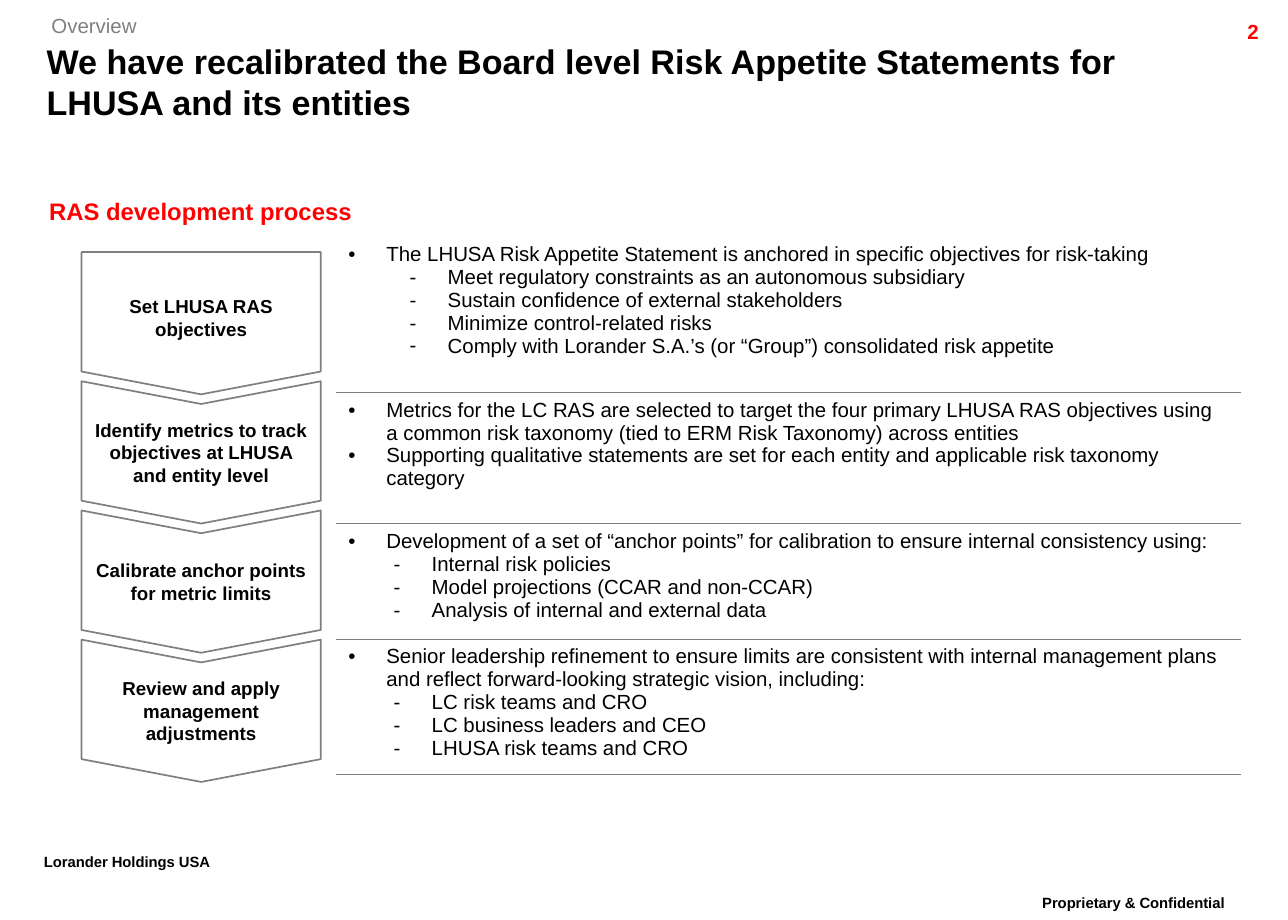
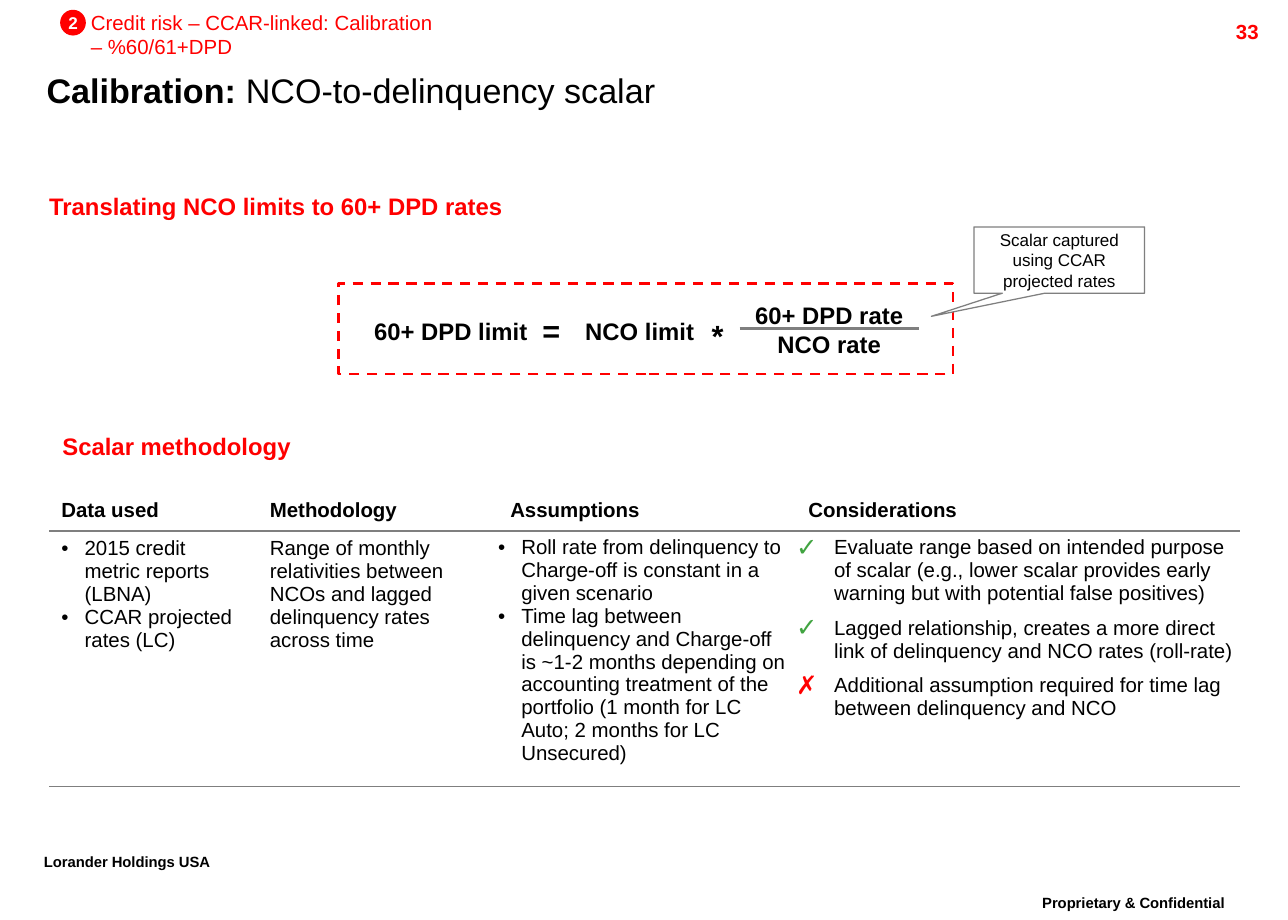
from lxml import etree
from pptx import Presentation
from pptx.dml.color import RGBColor
from pptx.enum.dml import MSO_LINE
from pptx.enum.shapes import MSO_CONNECTOR, MSO_SHAPE
from pptx.enum.text import MSO_ANCHOR, PP_ALIGN
from pptx.oxml.ns import qn
from pptx.util import Inches, Pt

LEFT, CENTER, RIGHT = PP_ALIGN.LEFT, PP_ALIGN.CENTER, PP_ALIGN.RIGHT
MIDDLE = MSO_ANCHOR.MIDDLE
FONT = "Arial"
BLACK, WHITE, RED, GREEN = "000000", "FFFFFF", "FF0000", "41A441"
GRAY, LABEL_GRAY = "7F7F7F", "808080"
TIGHT = 0.86
NO_INSET, BOX_INSET = (0, 0, 0, 0), (0.1, 0.05, 0.1, 0.05)
SHAPE_INSET, LIST_INSET = (0.08,) * 4, (0, 0.04, 0.04, 0.04)

# Bullet styles: character, text indent, hanging width, colour, size in percent
DOT = ("•", 0.31, 0.31, None, None)
DASH = ("-", 0.68, 0.31, None, None)
DEEP_DASH = ("-", 0.81, 0.31, None, None)
SMALL_DOT = ("•", 0.19, 0.19, None, None)
CHECK = ("✓", 0.31, 0.31, GREEN, 125)
CROSS = ("✗", 0.31, 0.31, RED, 125)

# Content: process steps with their details
STEPS = [
    ("Set LHUSA RAS objectives", [
        (DOT, "The LHUSA Risk Appetite Statement is anchored in specific objectives for risk-taking"),
        (DEEP_DASH, "Meet regulatory constraints as an autonomous subsidiary"),
        (DEEP_DASH, "Sustain confidence of external stakeholders"),
        (DEEP_DASH, "Minimize control-related risks"),
        (DEEP_DASH, "Comply with Lorander S.A.’s (or “Group”) consolidated risk appetite")]),
    ("Identify metrics to track objectives at LHUSA and entity level", [
        (DOT, "Metrics for the LC RAS are selected to target the four primary LHUSA RAS objectives "
              "using a common risk taxonomy (tied to ERM Risk Taxonomy) across entities"),
        (DOT, "Supporting qualitative statements are set for each entity and applicable risk "
              "taxonomy category")]),
    ("Calibrate anchor points for metric limits", [
        (DOT, "Development of a set of “anchor points” for calibration to ensure internal "
              "consistency using:"),
        (DASH, "Internal risk policies"),
        (DASH, "Model projections (CCAR and non-CCAR)"),
        (DASH, "Analysis of internal and external data")]),
    ("Review and apply management adjustments", [
        (DOT, "Senior leadership refinement to ensure limits are consistent with internal "
              "management plans and reflect forward-looking strategic vision, including:"),
        (DASH, "LC risk teams and CRO"),
        (DASH, "LC business leaders and CEO"),
        (DASH, "LHUSA risk teams and CRO")]),
]

# Content: scalar columns as heading, width, inset, space before, items
SCALAR_COLUMNS = [
    ("Data used", 1.7, BOX_INSET, 0, [
        (SMALL_DOT, "2015 credit metric reports (LBNA)"),
        (SMALL_DOT, "CCAR projected rates (LC)")]),
    ("Methodology", 1.96, BOX_INSET, 0, [
        (None, "Range of monthly relativities between NCOs and lagged delinquency rates across time")]),
    ("Assumptions", 2.43, LIST_INSET, 0, [
        (SMALL_DOT, "Roll rate from delinquency to Charge-off is constant in a given scenario"),
        (SMALL_DOT, "Time lag between delinquency and Charge-off is ~1-2 months depending on accounting "
                    "treatment of the portfolio (1 month for LC Auto; 2 months for LC Unsecured)")]),
    ("Considerations", 3.62, LIST_INSET, 7, [
        (CHECK, "Evaluate range based on intended purpose of scalar (e.g., lower scalar provides "
                "early warning but with potential false positives)"),
        (CHECK, "Lagged relationship, creates a more direct link of delinquency and NCO rates "
                "(roll-rate)"),
        (CROSS, "Additional assumption required for time lag between delinquency and NCO")]),
]

# Content: formula parts as text, left, top, width, size
FORMULA = [
    ("60+ DPD limit", 3, 2.58, 1.35, 14),
    ("=", 4.42, 2.54, 0.15, 18),
    ("NCO limit", 4.61, 2.58, 1.21, 14),
    ("*", 5.8, 2.58, 0.1, 18),
    ("60+ DPD rate", 6.03, 2.45, 1.46, 14),
    ("NCO rate", 6.03, 2.69, 1.46, 14),
]


def color(hex_text):
    return RGBColor.from_string(hex_text)


def child(parent, tag, **attributes):
    return etree.SubElement(parent, qn(tag), {k: str(v) for k, v in attributes.items()})


# Text
def add_span(para, text, size, ink=BLACK, bold=False):
    span = para.add_run()
    span.text = text
    font = span.font
    font.name, font.size, font.bold = FONT, Pt(size), bold
    font.color.rgb = color(ink)
    return span


def set_inset(target, inset):
    (target.margin_left, target.margin_top,
     target.margin_right, target.margin_bottom) = map(Inches, inset)


def set_bullet(para, bullet):
    mark, indent, hang, ink, percent = bullet
    props = para._p.get_or_add_pPr()
    props.set("marL", str(Inches(indent)))
    props.set("indent", str(-Inches(hang)))
    if ink:
        child(child(props, "a:buClr"), "a:srgbClr", val=ink)
    if percent:
        child(props, "a:buSzPct", val=percent * 1000)
    child(props, "a:buFont", typeface=FONT)
    child(props, "a:buChar", char=mark)


def fill_text(shape, text, size, ink=BLACK, bold=False, align=LEFT, inset=NO_INSET,
              wrap=True, spacing=None):
    frame = shape.text_frame
    frame.word_wrap = wrap
    set_inset(frame, inset)
    para = frame.paragraphs[0]
    para.alignment = align
    if spacing:
        para.line_spacing = spacing
    return add_span(para, text, size, ink, bold)


def add_text(page, text, at, size, **style):
    box = page.shapes.add_textbox(*map(Inches, at))
    return fill_text(box, text, size, **style)


def add_heading(page, text, left, top, inset=NO_INSET, spacing=TIGHT):
    add_text(page, text, (left, top, 7.69, 0.3), 14, ink=RED, bold=True,
             inset=inset, spacing=spacing)


# Shapes
def add_box(page, preset, at, fill=None, line=None, width=1, adjust=()):
    box = page.shapes.add_shape(preset, *map(Inches, at))
    box.shadow.inherit = False
    for index, value in enumerate(adjust):
        box.adjustments[index] = value
    if fill:
        box.fill.solid()
        box.fill.fore_color.rgb = color(fill)
    else:
        box.fill.background()
    if line:
        box.line.color.rgb = color(line)
        box.line.width = Pt(width)
    else:
        box.line.fill.background()
    box.text_frame.vertical_anchor = MIDDLE
    return box


# Tables
def add_grid(page, left, top, widths, heights):
    frame = page.shapes.add_table(len(heights), len(widths), Inches(left), Inches(top),
                                  Inches(sum(widths)), Inches(sum(heights)))
    table = frame.table
    table.first_row = table.horz_banding = False
    for column, width in zip(table.columns, widths):
        column.width = Inches(width)
    for row, height in zip(table.rows, heights):
        row.height = Inches(height)
    return table


def style_cell(cell, rules=(), width=1):
    """Draw a gray rule on the named sides and none on the others."""
    props = cell._tc.get_or_add_tcPr()
    for side in "LRTB":
        edge = child(props, "a:ln" + side, w=Pt(width))
        if side in rules:
            child(child(edge, "a:solidFill"), "a:srgbClr", val=GRAY)
        else:
            child(edge, "a:noFill")
    cell.fill.solid()
    cell.fill.fore_color.rgb = color(WHITE)


def fill_cell(cell, items, inset=BOX_INSET, before=0, bold=False):
    set_inset(cell, inset)
    frame = cell.text_frame
    for index, (bullet, text) in enumerate(items):
        para = frame.add_paragraph() if index else frame.paragraphs[0]
        if bullet:
            set_bullet(para, bullet)
        if index and before:
            para.space_before = Pt(before)
        add_span(para, text, 12, bold=bold)


# Shared title, page number and footers
def add_page(deck, number, title_top, title_spans):
    page = deck.slides.add_slide(deck.slide_layouts[5])
    title = page.shapes.title
    title.left, title.top, title.width, title.height = map(Inches, (0.38, title_top, 9.48, 0.48))
    frame = title.text_frame
    frame.vertical_anchor = MIDDLE
    set_inset(frame, NO_INSET)
    para = frame.paragraphs[0]
    para.alignment = LEFT
    for text, bold in title_spans:
        add_span(para, text, 20, bold=bold)
    add_text(page, str(number), (9.36, 0.11, 1, 0.24), 12, ink=RED, bold=True,
             align=RIGHT, inset=BOX_INSET)
    for text, at, align in (
            ("Proprietary & Confidential", (8.15, 7.25, 2.18, 0.35), CENTER),
            ("Lorander Holdings USA", (0.26, 6.91, 1.91, 0.35), LEFT)):
        span = add_text(page, text, at, 15, bold=True, align=align, inset=BOX_INSET,
                        spacing=TIGHT)
        span.font._element.set("baseline", "30000")
    return page


def build_process(deck):
    page = add_page(deck, 2, 0.42, [
        ("We have recalibrated the Board level Risk Appetite Statements for LHUSA and its entities",
         True)])
    add_text(page, "Overview", (0.42, 0.11, 0.7, 0.2), 12, ink=LABEL_GRAY, wrap=False)

    # Details; the first column leaves room for the arrows
    table = add_grid(page, 0.68, 1.93, (2.06, 7.38), (1.27, 1.07, 0.94, 1.1))
    for row, (_, details) in enumerate(STEPS):
        style_cell(table.cell(row, 0))
        cell = table.cell(row, 1)
        style_cell(cell, "TB" if row else "B", 0.5)
        fill_cell(cell, details)

    # Downward arrows, turned a quarter with upright text
    pitch = 3.16 / (len(STEPS) - 1)
    for index, (label, _) in enumerate(STEPS):
        preset = MSO_SHAPE.CHEVRON if index else MSO_SHAPE.PENTAGON
        arrow = add_box(page, preset, (1.06, 1.66 + index * pitch, 1.16, 1.95),
                        WHITE, GRAY, adjust=(0.16,))
        arrow.rotation = 90
        fill_text(arrow, label, 11, bold=True, align=CENTER, inset=SHAPE_INSET)
        body = arrow.text_frame._txBody.bodyPr
        body.set("vert", "vert")
        body.set("rot", "10800000")
    add_heading(page, "RAS development process", 0.4, 1.6, spacing=None)


def build_calibration(deck):
    page = add_page(deck, 33, 0.49, [("Calibration: ", True), ("NCO-to-delinquency scalar", False)])
    badge = add_box(page, MSO_SHAPE.OVAL, (0.49, 0.08, 0.21, 0.21), RED)
    fill_text(badge, "2", 10, ink=WHITE, bold=True, align=CENTER, wrap=False)
    add_text(page, "Credit risk – CCAR-linked: Calibration – %60/61+DPD",
             (0.74, 0.08, 2.81, 0.2), 12, ink=RED, wrap=False)
    add_heading(page, "Translating NCO limits to 60+ DPD rates", 0.4, 1.6)
    add_heading(page, "Scalar methodology", 0.41, 3.5, inset=BOX_INSET)

    # Formula
    frame = add_box(page, MSO_SHAPE.RECTANGLE, (2.76, 2.31, 5.01, 0.74), line=RED, width=1.5)
    frame.line.dash_style = MSO_LINE.DASH
    for text, left, top, width, size in FORMULA:
        add_text(page, text, (left, top, width, 0.3), size, bold=True, align=CENTER)
    callout = add_box(page, MSO_SHAPE.RECTANGULAR_CALLOUT, (7.94, 1.85, 1.39, 0.54),
                      WHITE, GRAY, 0.75, (-0.75, 0.85))
    fill_text(callout, "Scalar captured using CCAR projected rates", 10, align=CENTER,
              inset=SHAPE_INSET)
    bar = page.shapes.add_connector(MSO_CONNECTOR.STRAIGHT, *map(Inches, (6.03, 2.68, 7.49, 2.68)))
    bar.line.color.rgb = color(GRAY)
    bar.line.width = Pt(1.5)
    child(bar._element.spPr, "a:effectLst")

    # Scalar table
    table = add_grid(page, 0.4, 4.02, [column[1] for column in SCALAR_COLUMNS], (0.31, 2.08))
    for index, (heading, _, inset, before, items) in enumerate(SCALAR_COLUMNS):
        head, body = table.cell(0, index), table.cell(1, index)
        style_cell(head, "B")
        fill_cell(head, [(None, heading)], bold=True)
        style_cell(body, "TB")
        fill_cell(body, items, inset, before)


def main():
    deck = Presentation()
    deck.slide_width, deck.slide_height = Inches(10.5), Inches(7.5)
    build_process(deck)
    build_calibration(deck)
    deck.save("out.pptx")


if __name__ == "__main__":
    main()
